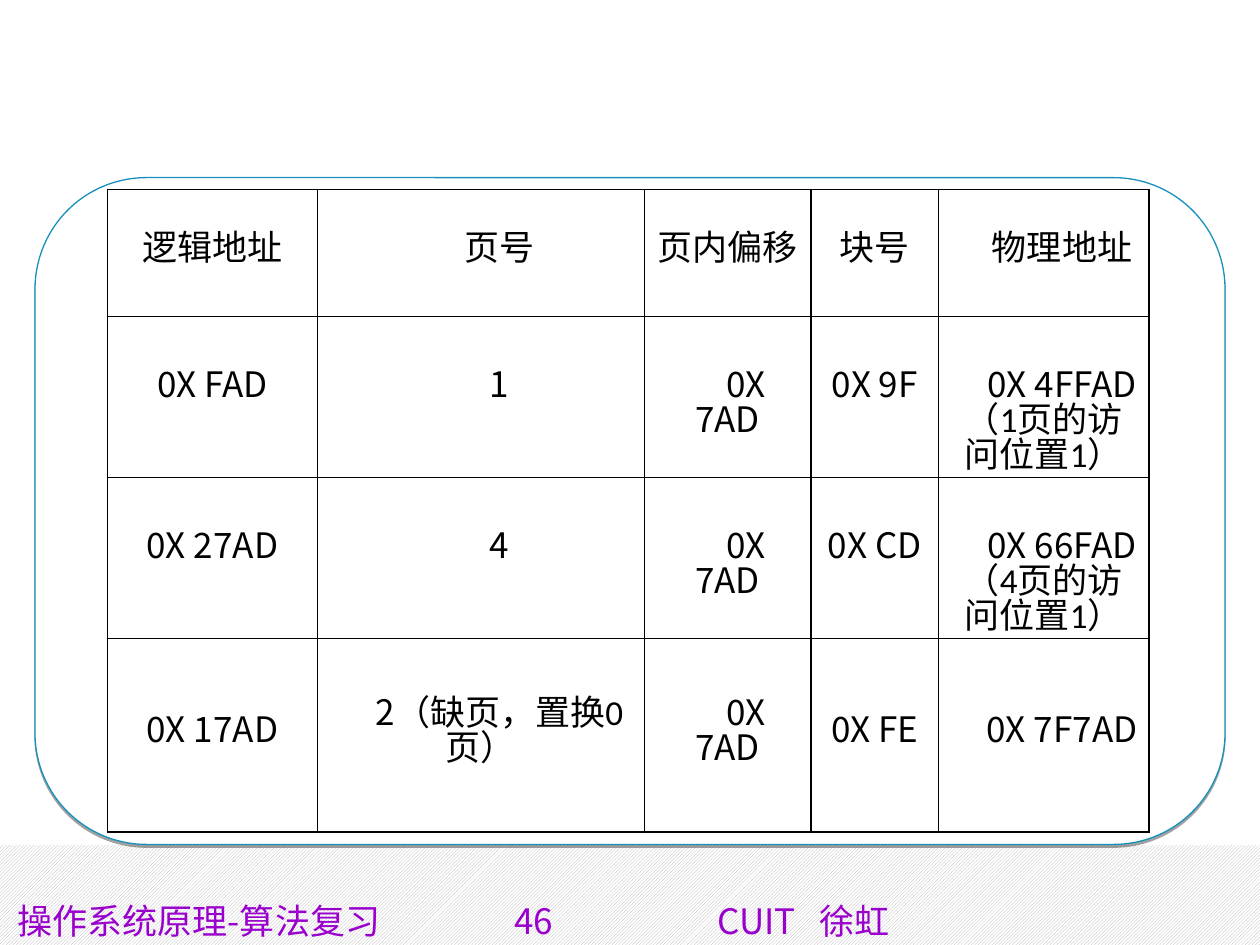
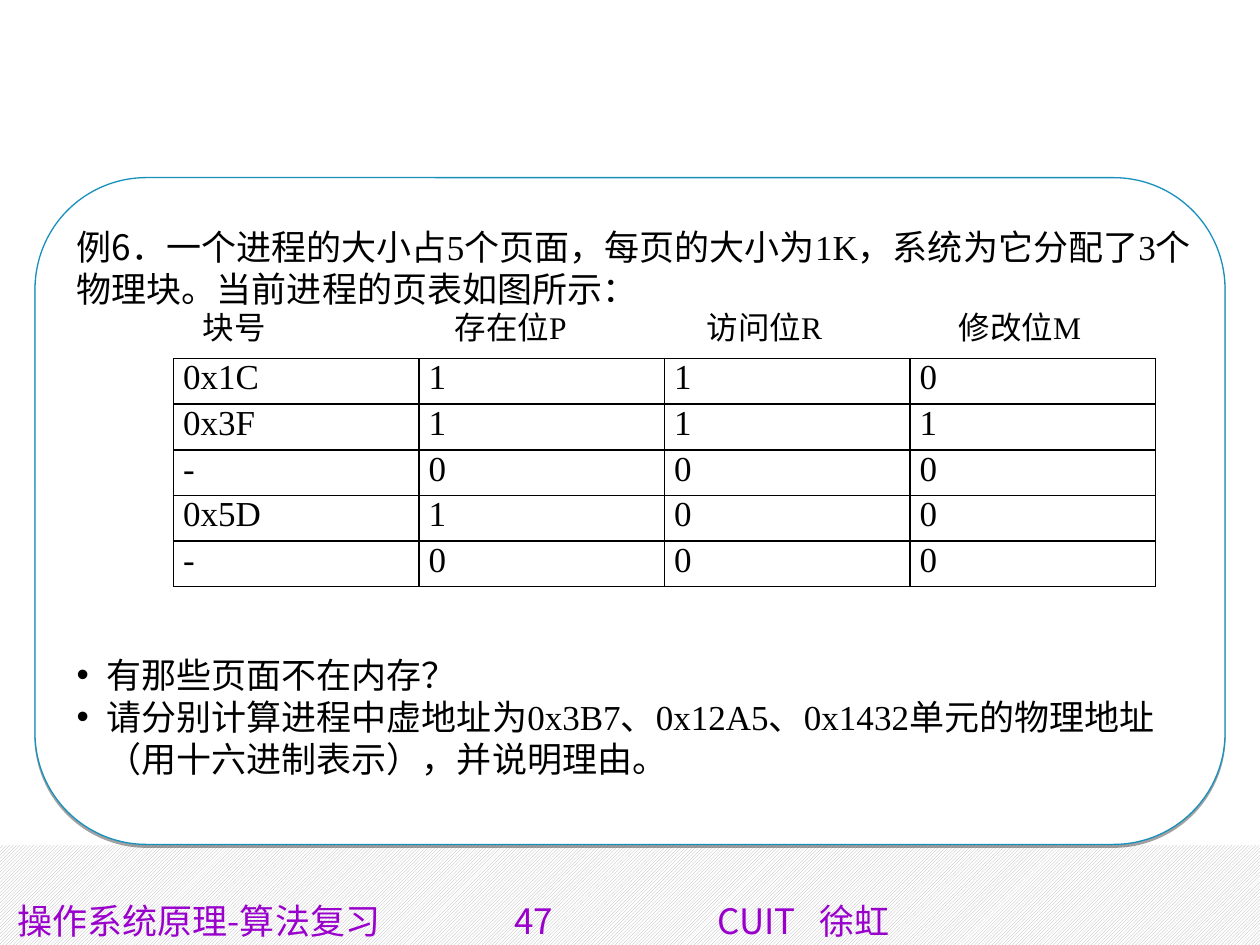
from dataclasses import dataclass
from typing import Any, Optional

import pptx
import pptx.dml.color
import pptx.enum.dml
import pptx.enum.shapes
import pptx.enum.text
import pptx.oxml
import pptx.oxml.ns
import pptx.util

Pt = pptx.util.Pt
Align = pptx.enum.text.PP_ALIGN
Anchor = pptx.enum.text.MSO_ANCHOR
Shape = pptx.enum.shapes.MSO_SHAPE
qn = pptx.oxml.ns.qn
NS = pptx.oxml.ns.nsdecls("a")


@dataclass(frozen=True)
class Theme:
    ink: str = "000000"
    paper: str = "FFFFFF"
    hatch: str = "B2B2B2"
    edge: str = "1790BB"
    foot: str = "9900CC"
    sans: str = "Noto Sans CJK SC"
    head: str = "Calibri"
    serif: str = "Times New Roman"
    body: float = 20
    label: float = 18


@dataclass(frozen=True)
class Box:
    left: float
    top: float
    width: float
    height: float

    def place(self) -> list[int]:
        return [Pt(n) for n in (self.left, self.top, self.width, self.height)]


@dataclass(frozen=True)
class Span:
    text: str
    font: str


@dataclass(frozen=True)
class Entry:
    """Content of one table cell."""
    spans: tuple[Span, ...] = ()
    indent: float = 0
    drop: float = 0
    middle: bool = False
    sides: str = "LRTB"


THEME = Theme()
BAND = Box(0, 483, 720, 57)
PANEL = Box(20, 101.5, 680, 381)
FOOTER = Box(2.9, 511.8, 720, 28.8)
INDENT = 21
DROP = 32


def rgb(code: str) -> pptx.dml.color.RGBColor:
    return pptx.dml.color.RGBColor.from_string(code)


def node(tag: str, attrs: str = "", inner: str = "") -> Any:
    return pptx.oxml.parse_xml(f"<a:{tag} {NS} {attrs}>{inner}</a:{tag}>")


def put(frame: Any, *spans: Span, size: float = THEME.body, color: str = THEME.ink,
        align: Any = Align.LEFT, pitch: Optional[float] = None, before: float = 0,
        indent: float = 0, margin: float = 0, bullet: str = "",
        tabs: tuple[float, ...] = ()) -> None:
    """Write one paragraph, filling the first one if it is still empty."""
    first = frame.paragraphs[0]
    para = frame.add_paragraph() if first.runs else first
    props = para._p.get_or_add_pPr()
    for name, value in (("marL", margin), ("indent", indent)):
        if value:
            props.set(name, str(Pt(value)))
    if bullet:
        props.append(node("buFont", 'typeface="Arial"'))
        props.append(node("buChar", f'char="{bullet}"'))
    if tabs:
        stops = "".join(f'<a:tab pos="{Pt(t)}" algn="l"/>' for t in tabs)
        props.append(node("tabLst", inner=stops))
    para.alignment = align
    if pitch:
        para.line_spacing = Pt(pitch)
    if before:
        para.space_before = Pt(before)
    for span in spans:
        run = para.add_run()
        run.text = span.text
        run.font.size = Pt(size)
        run.font.name = span.font
        run.font.color.rgb = rgb(color)
        latin = run._r.rPr.find(qn("a:latin"))
        latin.addnext(node("ea", f'typeface="{THEME.sans}"'))


def add_text(slide: Any, box: Box, anchor: Any) -> Any:
    frame = slide.shapes.add_textbox(*box.place()).text_frame
    frame.word_wrap = True
    frame.vertical_anchor = anchor
    return frame


def add_base(deck: Any, number: int) -> Any:
    """Add a slide with the hatched band, the rounded panel and the footer."""
    slide = deck.slides.add_slide(deck.slide_layouts[6])
    band = slide.shapes.add_shape(Shape.RECTANGLE, *BAND.place())
    band.shadow.inherit = False
    band.line.fill.background()
    band.fill.patterned()
    band.fill.pattern = pptx.enum.dml.MSO_PATTERN.DARK_UPWARD_DIAGONAL
    band.fill.fore_color.rgb = rgb(THEME.hatch)
    band.fill.back_color.rgb = rgb(THEME.paper)

    panel = slide.shapes.add_shape(Shape.ROUNDED_RECTANGLE, *PANEL.place())
    panel.adjustments[0] = 0.167
    panel.fill.solid()
    panel.fill.fore_color.rgb = rgb(THEME.paper)
    panel.line.color.rgb = rgb(THEME.edge)
    panel.line.width = Pt(0.75)
    panel.shadow.inherit = False
    panel._element.spPr.find(qn("a:effectLst")).append(node(
        "outerShdw", f'dist="{Pt(1.6)}" dir="5400000" rotWithShape="0"',
        f'<a:srgbClr val="{THEME.ink}"><a:alpha val="37000"/></a:srgbClr>'))

    put(add_text(slide, FOOTER, Anchor.MIDDLE),
        Span(f"操作系统原理-算法复习\t{number}\tCUIT\t徐虹", THEME.sans),
        color=THEME.foot, tabs=(284, 400, 458.5))
    return slide


def add_grid(slide: Any, left: float, top: float, cols: list[float], rows: list[float],
             cells: list[list[Entry]], align: Any, pitch: Optional[float] = None) -> Any:
    box = Box(left, top, sum(cols), sum(rows))
    table = slide.shapes.add_table(len(rows), len(cols), *box.place()).table
    table.first_row = table.horz_banding = False
    for col, width in zip(table.columns, cols):
        col.width = Pt(width)
    for row, height, line in zip(table.rows, rows, cells):
        row.height = Pt(height)
        for cell, entry in zip(row.cells, line):
            cell.margin_left = cell.margin_right = Pt(5.4)
            cell.margin_top, cell.margin_bottom = Pt(entry.drop), 0
            cell.vertical_anchor = Anchor.MIDDLE if entry.middle else Anchor.TOP
            put(cell.text_frame, *entry.spans, align=align, pitch=pitch, indent=entry.indent)
            cell.fill.background()
            for spot, side in enumerate("LRTB"):
                paint = (f'<a:solidFill><a:srgbClr val="{THEME.ink}"/></a:solidFill>'
                         if side in entry.sides else "<a:noFill/>")
                cell._tc.tcPr.insert(spot, node(f"ln{side}", f'w="{Pt(1)}"', paint))
    return table


def split(text: str, head: bool) -> tuple[Span, ...]:
    """Set the address in the sans face and a bracketed remark in the head face."""
    if head:
        return (Span(text, THEME.head),)
    code, mark, note = text.partition("（")
    spans = (Span(code, THEME.sans),)
    return spans + (Span(mark + note, THEME.head),) if mark else spans


def add_answer(deck: Any) -> None:
    slide = add_base(deck, 46)
    lines = [
        ["逻辑地址", "页号", "页内偏移", "块号", "物理地址"],
        ["0X FAD", "1", "0X 7AD", "0X 9F", "0X 4FFAD（1页的访问位置1）"],
        ["0X 27AD", "4", "0X 7AD", "0X CD", "0X 66FAD（4页的访问位置1）"],
        ["0X 17AD", "2（缺页，置换0页）", "0X 7AD", "0X FE", "0X 7F7AD"],
    ]
    edge = Entry(sides="R")
    cells = []
    for row, line in enumerate(lines):
        shift = (1, 4) if row == 0 else (1, 2, 4)
        middle = row in (0, 3)
        cells.append([edge] + [Entry(split(text, row == 0), INDENT if col in shift else 0,
                                     0 if middle else DROP, middle)
                               for col, text in enumerate(line)])
    cells.append([edge] + [Entry()] * 5)
    table = add_grid(slide, -5.6, 108.4, [67, 120, 187, 95, 73, 120.2],
                     [72.5, 92, 92, 33.8, 76.7], cells, Align.CENTER, pitch=20)
    for col in range(1, 6):
        table.cell(3, col).merge(table.cell(4, col))


def add_task(deck: Any) -> None:
    slide = add_base(deck, 47)
    lines = ["0x1C 1 1 0", "0x3F 1 1 1", "- 0 0 0", "0x5D 1 0 0", "- 0 0 0"]
    cells = [[Entry((Span(text, THEME.serif),)) for text in line.split()] for line in lines]
    add_grid(slide, 99.2, 204.9, [140.3] * 4, [26.1] * 5, cells, Align.JUSTIFY)

    frame = add_text(slide, Box(36.7, 123.1, 654.5, 327.6), Anchor.TOP)
    frame.margin_top = Pt(5.7)
    put(frame, Span("例6．", THEME.sans),
        Span("一个进程的大小占5个页面，每页的大小为1K，系统为它分配了3个物理块。"
             "当前进程的页表如图所示：", THEME.serif), pitch=24)
    put(frame, Span("\t块号\t存在位P\t访问位R\t修改位M", THEME.serif), size=THEME.label,
        pitch=20.5, tabs=tuple(72 + 144 * n for n in range(4)))
    asks = ["有那些页面不在内存？",
            "请分别计算进程中虚地址为0x3B7、0x12A5、0x1432单元的物理地址"
            "（用十六进制表示），并说明理由。"]
    for ask, gap in zip(asks, (176, 0)):
        put(frame, Span(ask, THEME.serif), pitch=24, before=gap,
            bullet="•", margin=17, indent=-17)


def main() -> None:
    deck = pptx.Presentation()
    deck.slide_width, deck.slide_height = Pt(720), Pt(540)
    add_answer(deck)
    add_task(deck)
    deck.save("out.pptx")


if __name__ == "__main__":
    main()
